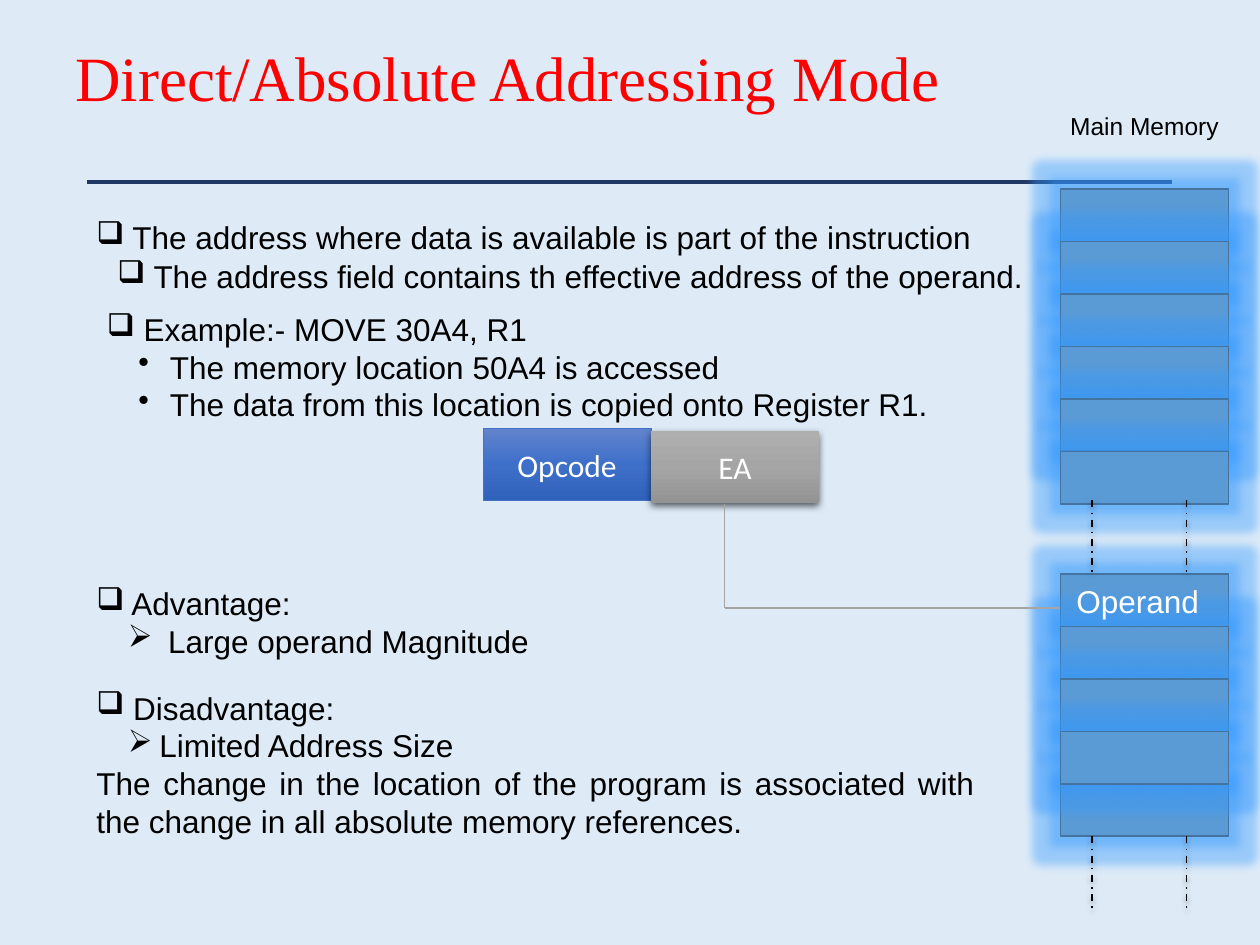
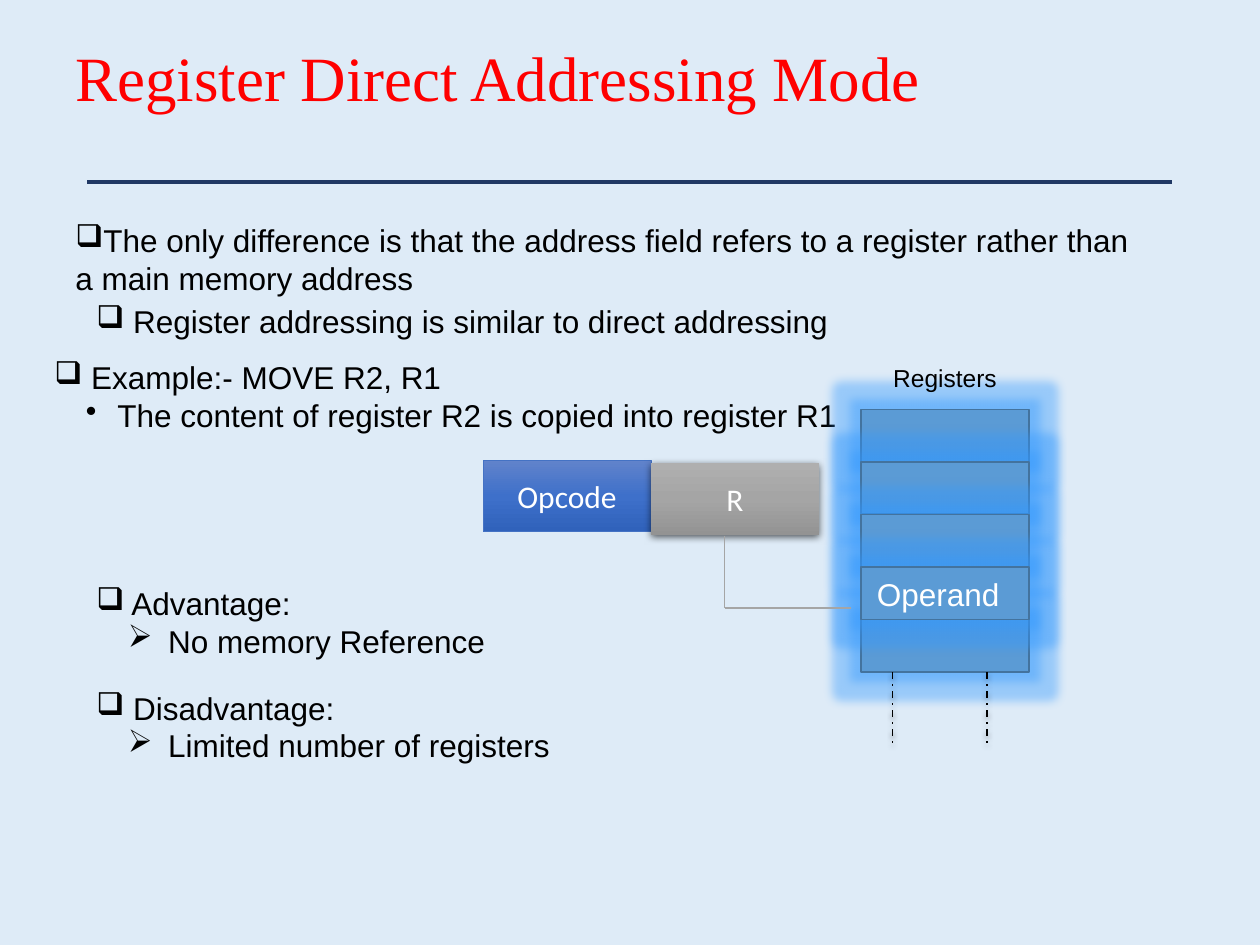
from copy import deepcopy

from lxml.etree import SubElement
from pptx import Presentation
from pptx.dml.color import RGBColor
from pptx.enum.dml import MSO_LINE
from pptx.enum.shapes import MSO_CONNECTOR, MSO_SHAPE
from pptx.enum.text import MSO_ANCHOR, PP_ALIGN
from pptx.oxml.ns import qn
from pptx.util import Pt

# Content: notes are (left, top, width, height, [(bullet, text), ...])
SLIDES = [
    {
        "title": "Direct/Absolute Addressing Mode",
        "notes": [
            (48, 121, 618, 29, [("❑", " The address where data is available is part of the instruction")]),
            (54, 173.5, 582, 73, [
                ("❑", " Example:- MOVE 30A4, R1"),
                ("•", "The memory location 50A4 is accessed"),
                ("•", "The data from this location is copied onto Register R1."),
            ]),
            (48, 330, 516, 51, [("❑", " Advantage:"), ("➢", " Large operand Magnitude")]),
            (48, 390, 516, 117, [
                ("❑", " Disadvantage:"),
                ("➢", "Limited Address Size"),
                ("", "The change in the location of the program is associated with "
                     "the change in all absolute memory references."),
            ]),
            (60, 143.5, 545, 29, [("❑", " The address field contains th effective address of the operand.")]),
        ],
        "address": "EA",
        "instruction_top": 245,
        "store": "Main Memory",
        "store_left": 606,
        "store_label_top": 60,
        "blocks": [(108, 6), (328, 5)],
        "operand_top": 328,
        "link_right": 606,
    },
    {
        "title": "Register Direct Addressing Mode",
        "notes": [
            (36, 123, 618, 51, [("❑", "The only difference is that the address field refers to a "
                                      "register rather than a main memory address")]),
            (24, 201, 582, 51, [
                ("❑", " Example:- MOVE R2, R1"),
                ("•", "The content of register R2 is copied into register R1"),
            ]),
            (48, 330, 516, 51, [("❑", " Advantage:"), ("➢", " No memory Reference")]),
            (48, 390, 516, 73, [("❑", " Disadvantage:"), ("➢", " Limited number of registers")]),
            (48, 169, 444, 29, [("❑", " Register addressing is similar to direct addressing")]),
        ],
        "address": "R",
        "instruction_top": 263,
        "store": "Registers",
        "store_left": 492,
        "store_label_top": 204,
        "blocks": [(234, 5)],
        "operand_top": 324,
        "link_right": 486,
    },
]

# Shared look
BACKGROUND, RULE, LINK = "DEEBF7", "203864", "A5A5A5"
CELL_FILL, CELL_EDGE, CELL_GLOW = "5B9BD5", "43739E", "3399FF"
OPCODE_SHADES = ("6183CB", "3E70CA", "3062BB")
ADDRESS_SHADES = ("AFAFAF", "A5A5A5", "939393")
TITLE_FONT = {"name": "Times New Roman", "size": Pt(36), "color": "FF0000"}
NOTE_FONT = {"name": "Arial", "size": Pt(18), "color": "000000"}
LABEL_FONT = {**NOTE_FONT, "size": Pt(14)}
OPERAND_FONT = {**NOTE_FONT, "color": "FFFFFF"}
FIELD_FONT = {**OPERAND_FONT, "name": "Calibri"}
BULLET_INDENTS = {"❑": (0, 0), "•": (36, -18), "➢": (36, -18)}
CELL_WIDTH, CELL_HEIGHT = 96, 30
FIELD_LEFT, FIELD_HEIGHT = 276, 41
DASH_OFFSETS, DASH_LENGTH = (18, 72), 42
LINK_LEFT, LINK_BOTTOM = 414, 347.5


def rgb(color):
    return RGBColor.from_string(color)


def apply(target, formats):
    for key, value in formats.items():
        if key == "color":
            target.color.rgb = rgb(value)
        else:
            setattr(target, key, value)


def add_effect(shape, kind, color, alpha, **sizes):
    """Give the shape one glow or shadow; sizes are in XML units."""
    properties = shape.element.spPr
    effects = properties.find(qn("a:effectLst"))
    if effects is None:
        effects = SubElement(properties, qn("a:effectLst"))
    effect = SubElement(effects, qn(f"a:{kind}"))
    for key, value in sizes.items():
        effect.set(key, str(int(value)))
    tint = SubElement(effect, qn("a:srgbClr"), val=color)
    SubElement(tint, qn("a:alpha"), val=str(alpha * 1000))


def add_shadow(shape, alpha, blur, distance):
    add_effect(shape, "outerShdw", "000000", alpha, blurRad=Pt(blur), dist=Pt(distance), dir=5400000)


def set_bullet(paragraph, bullet):
    margin, indent = BULLET_INDENTS[bullet]
    properties = paragraph._p.get_or_add_pPr()
    properties.set("marL", str(Pt(margin)))
    properties.set("indent", str(Pt(indent)))
    SubElement(properties, qn("a:buChar"), char=bullet)


def add_text(slide, box, lines, font, **paragraph_formats):
    frame = slide.shapes.add_textbox(*map(Pt, box)).text_frame
    frame.word_wrap = True
    for number, (bullet, text) in enumerate(lines):
        paragraph = frame.add_paragraph() if number else frame.paragraphs[0]
        paragraph.text = text
        if bullet:
            set_bullet(paragraph, bullet)
        apply(paragraph, paragraph_formats)
        apply(paragraph.font, font)
    return frame


def add_line(slide, start, end, color, width):
    line = slide.shapes.add_connector(MSO_CONNECTOR.STRAIGHT, *map(Pt, start + end))
    apply(line.line, {"color": color, "width": Pt(width)})
    SubElement(line.element.spPr, qn("a:effectLst"))
    return line


def add_box(slide, left, top, width, height):
    box = slide.shapes.add_shape(MSO_SHAPE.RECTANGLE, *map(Pt, (left, top, width, height)))
    box.shadow.inherit = False
    return box


def add_field(slide, left, top, text, shades):
    """One half of the instruction: a box with a vertical gradient."""
    field = add_box(slide, left, top, CELL_WIDTH, FIELD_HEIGHT)
    field.fill.gradient()
    field.fill.gradient_angle = 270
    stop_list = field.element.spPr.find(".//" + qn("a:gsLst"))
    stop_list.insert(1, deepcopy(stop_list[0]))
    for stop, position, shade in zip(field.fill.gradient_stops, (0, 0.5, 1), shades):
        apply(stop, {"position": position, "color": shade})
    field.text_frame.vertical_anchor = MSO_ANCHOR.MIDDLE
    paragraph = field.text_frame.paragraphs[0]
    apply(paragraph, {"text": text, "alignment": PP_ALIGN.CENTER})
    apply(paragraph.font, FIELD_FONT)
    return field


def add_instruction(slide, top, address):
    opcode = add_field(slide, FIELD_LEFT, top, "Opcode", OPCODE_SHADES)
    apply(opcode.line, {"color": "4472C4", "width": Pt(0.5)})
    operand_address = add_field(slide, FIELD_LEFT + CELL_WIDTH, top + 1.5, address, ADDRESS_SHADES)
    operand_address.line.fill.background()
    add_shadow(operand_address, 63, 4.5, 1.5)


def add_block(slide, left, top, count, last_first):
    """A stack of storage cells that trails off in dashed lines."""
    order = list(range(count))
    if last_first:
        order = order[-1:] + order[:-1]
    for row in order:
        cell = add_box(slide, left, top + row * CELL_HEIGHT, CELL_WIDTH, CELL_HEIGHT)
        cell.fill.solid()
        cell.fill.fore_color.rgb = rgb(CELL_FILL)
        apply(cell.line, {"color": CELL_EDGE, "width": Pt(1)})
        add_effect(cell, "glow", CELL_GLOW, 40, rad=Pt(11))
    bottom = top + count * CELL_HEIGHT


def add_dashes(slide, left, top, bottom):
    for offset in DASH_OFFSETS:
        dash = add_line(slide, (left + offset, top), (left + offset, bottom), "000000", 1)
        dash.line.dash_style = MSO_LINE.DASH_DOT
        add_shadow(dash, 38, 3.1, 1.6)


def build_slide(deck, content):
    slide = deck.slides.add_slide(deck.slide_layouts[6])
    slide.background.fill.solid()
    slide.background.fill.fore_color.rgb = rgb(BACKGROUND)

    # Title and rule
    add_line(slide, (50, 104), (670, 104), RULE, 2.25)
    title = add_text(slide, (36, 21.5, 648, 50), [("", content["title"])], TITLE_FONT, line_spacing=0.9)
    title.vertical_anchor = MSO_ANCHOR.MIDDLE

    # Notes; only the unbulleted closing text is justified
    for *box, lines in content["notes"]:
        frame = add_text(slide, box, lines, NOTE_FONT)
        for paragraph, (bullet, _) in zip(frame.paragraphs, lines):
            if not bullet:
                paragraph.alignment = PP_ALIGN.JUSTIFY
    add_instruction(slide, content["instruction_top"], content["address"])

    # Storage: cells first, so that no glow covers the dashes
    left, blocks = content["store_left"], content["blocks"]
    for top, count in blocks:
        add_block(slide, left, top, count, last_first=(top, count) == blocks[-1])
    for top, count in blocks:
        end = top + count * CELL_HEIGHT
        start = end - 2 if (top, count) != blocks[-1] else end
        add_dashes(slide, left, start, start + DASH_LENGTH)
    add_text(slide, (left - 18, content["store_label_top"], 132, 24), [("", content["store"])],
             LABEL_FONT, alignment=PP_ALIGN.CENTER)

    # Link from the address field to the operand
    add_line(slide, (LINK_LEFT, content["instruction_top"] + 43), (LINK_LEFT, LINK_BOTTOM), LINK, 1)
    add_line(slide, (LINK_LEFT, LINK_BOTTOM), (content["link_right"], LINK_BOTTOM), LINK, 1)
    add_text(slide, (left + 2, content["operand_top"] + 1, 90, 29), [("", "Operand")], OPERAND_FONT)


def main():
    deck = Presentation()
    deck.slide_width, deck.slide_height = Pt(720), Pt(540)
    for content in SLIDES:
        build_slide(deck, content)
    deck.save("out.pptx")


if __name__ == "__main__":
    main()
